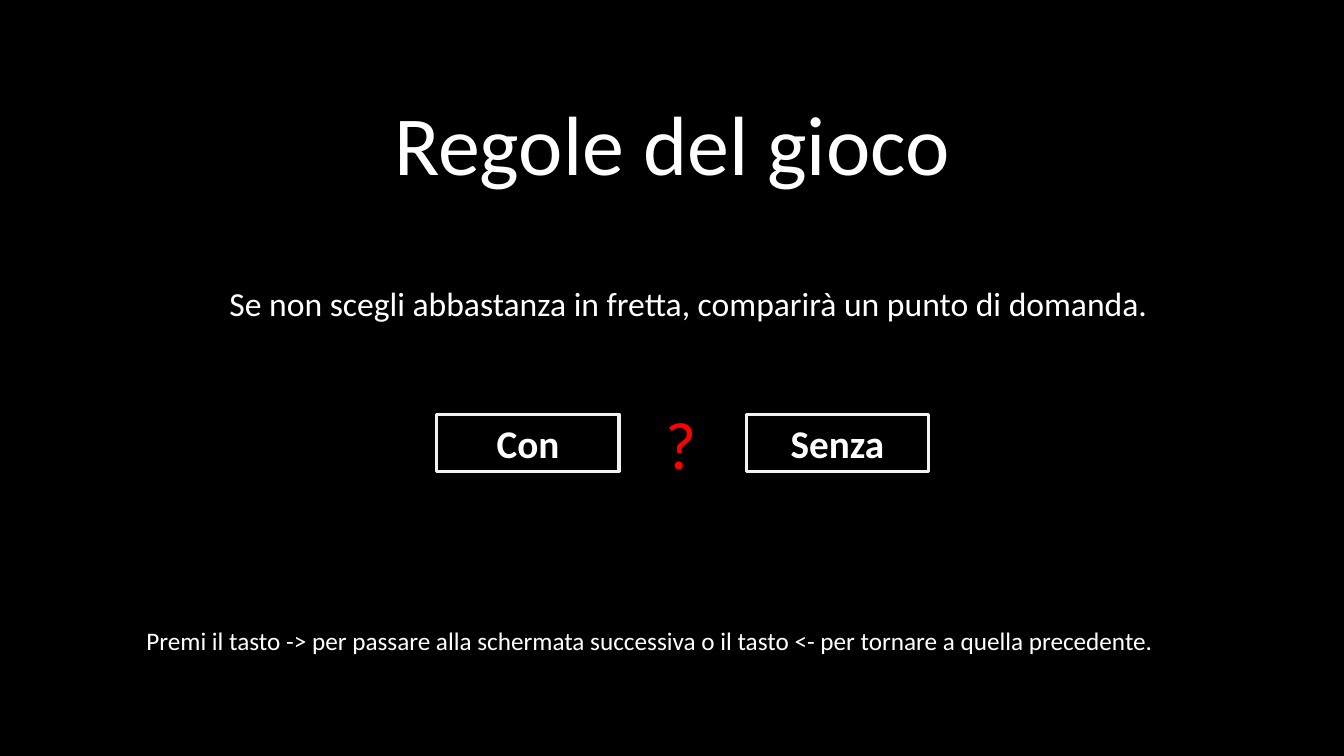
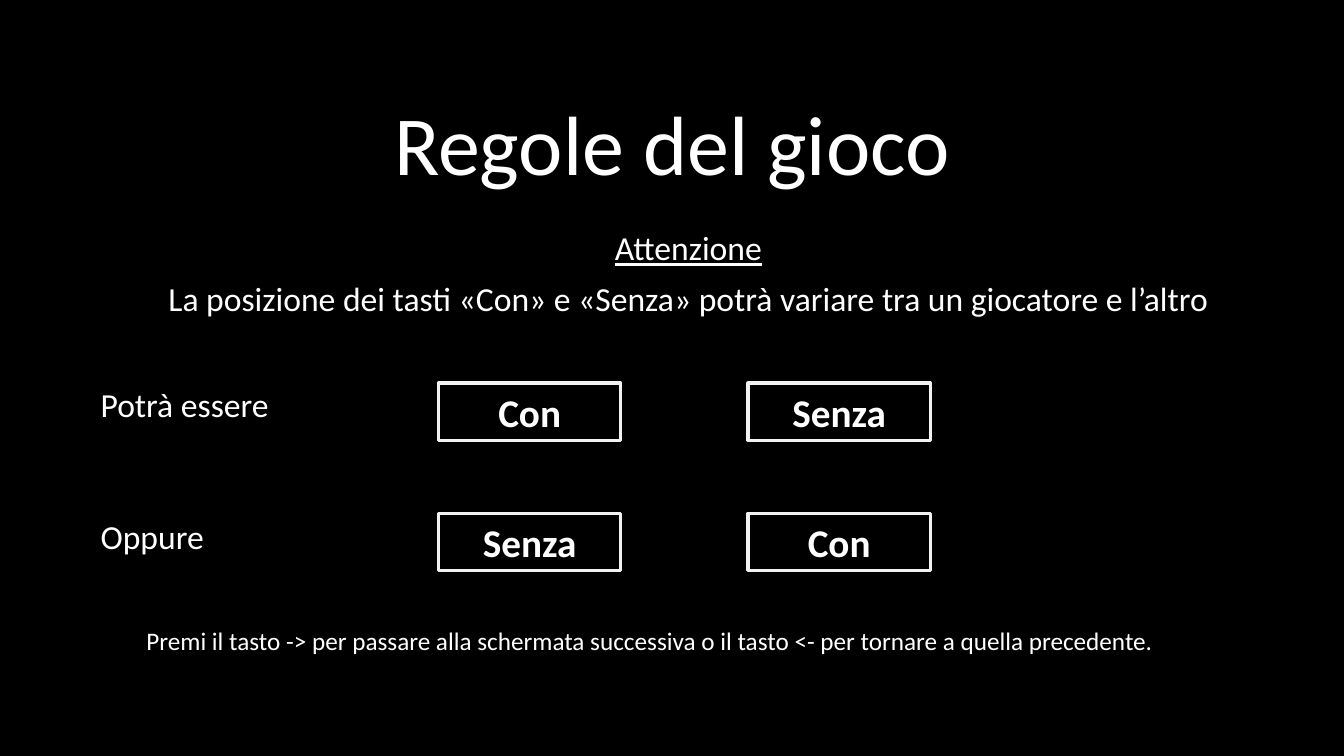
from pptx import Presentation
from pptx.dml.color import RGBColor
from pptx.enum.shapes import MSO_SHAPE
from pptx.enum.text import MSO_ANCHOR, PP_ALIGN
from pptx.util import Inches, Pt

WIDTH, HEIGHT = Inches(13.333), Inches(7.5)
COLUMNS, ROWS = 160, 90
FONT = "Calibri"
BLACK, WHITE, OFF_WHITE, RED = "000000", "FFFFFF", "F2F2F2", "FF0000"
TITLE = "Regole del gioco"
NAVIGATION = ("Premi il tasto -> per passare alla schermata successiva "
              "o il tasto <- per tornare a quella precedente.")
BUTTON_WIDTH, BUTTON_HEIGHT, BUTTON_PITCH = 21.7, 6.8, 36.85


def color(code):
    return RGBColor.from_string(code)


def grid(column, row, columns, rows):
    return (int(WIDTH * column / COLUMNS), int(HEIGHT * row / ROWS),
            int(WIDTH * columns / COLUMNS), int(HEIGHT * rows / ROWS))


def write(frame, text, size=24, ink=WHITE, bold=False, underline=False,
          align=PP_ALIGN.CENTER, spacing=0.9, before=10, wrap=True,
          anchor=MSO_ANCHOR.TOP, add=False):
    frame.word_wrap = wrap
    frame.vertical_anchor = anchor
    paragraph = frame.add_paragraph() if add else frame.paragraphs[0]
    paragraph.alignment = align
    paragraph.line_spacing = spacing
    paragraph.space_before = Pt(before)
    run = paragraph.add_run()
    run.text = text
    run.font.name = FONT
    run.font.size = Pt(size)
    run.font.bold = bold
    run.font.underline = underline
    run.font.color.rgb = color(ink)


def add_text(slide, area, text, **style):
    frame = slide.shapes.add_textbox(*grid(*area)).text_frame
    write(frame, text, **style)
    return frame


def add_button(slide, column, row, label):
    button = slide.shapes.add_shape(
        MSO_SHAPE.RECTANGLE, *grid(column, row, BUTTON_WIDTH, BUTTON_HEIGHT))
    button.shadow.inherit = False
    button.fill.background()
    button.line.color.rgb = color(OFF_WHITE)
    button.line.width = Pt(2.25)
    write(button.text_frame, label, size=28, bold=True, spacing=1, before=0,
          anchor=MSO_ANCHOR.MIDDLE)


def add_choices(slide, column, row, labels):
    for index, label in enumerate(labels):
        add_button(slide, column + index * BUTTON_PITCH, row, label)


def add_rules_slide(deck):
    slide = deck.slides.add_slide(deck.slide_layouts[5])
    title = slide.shapes.title
    title.left, title.top, title.width, title.height = grid(20, 3.85, 120, 19.8)
    write(title.text_frame, TITLE, size=60, before=0, anchor=MSO_ANCHOR.BOTTOM)
    add_text(slide, (0, 74.3, 154.7, 5), NAVIGATION, size=18)
    return slide


def add_timeout_rule(deck):
    slide = add_rules_slide(deck)
    add_text(slide, (11.75, 33.6, 140.4, 6),
             "Se non scegli abbastanza in fretta, comparirà un punto di domanda.")
    add_text(slide, (78.1, 47.3, 6.1, 10.9), "?", size=48, ink=RED,
             align=PP_ALIGN.LEFT, spacing=1, before=0, wrap=False)
    add_choices(slide, 52, 49.3, ("Con", "Senza"))


def add_position_rule(deck):
    slide = add_rules_slide(deck)
    warning = add_text(slide, (11.75, 27, 140.4, 12), "Attenzione", underline=True)
    write(warning, "La posizione dei tasti «Con» e «Senza» potrà variare "
          "tra un giocatore e l’altro", add=True)
    arrangements = (
        ("Potrà essere", 45.6, 45.6, ("Con", "Senza")),
        ("Oppure", 61.4, 61.1, ("Senza", "Con")),
    )
    for caption, caption_row, button_row, labels in arrangements:
        add_text(slide, (10.8, caption_row, 40, 10.3), caption, align=PP_ALIGN.LEFT)
        add_choices(slide, 52.2, button_row, labels)


def main():
    deck = Presentation()
    deck.slide_width, deck.slide_height = WIDTH, HEIGHT
    backdrop = deck.slide_master.background.fill
    backdrop.solid()
    backdrop.fore_color.rgb = color(BLACK)
    add_timeout_rule(deck)
    add_position_rule(deck)
    deck.save("out.pptx")


main()
